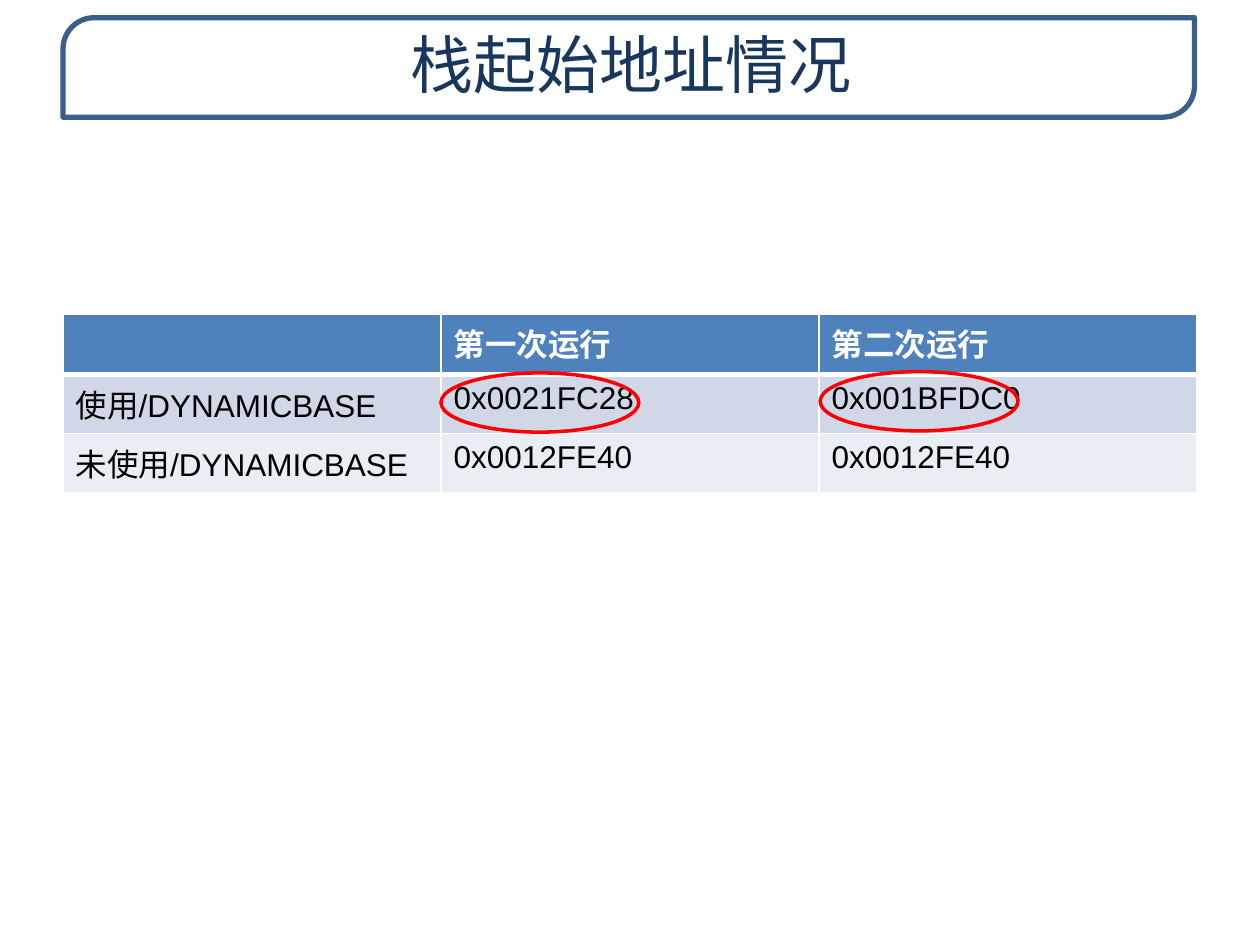
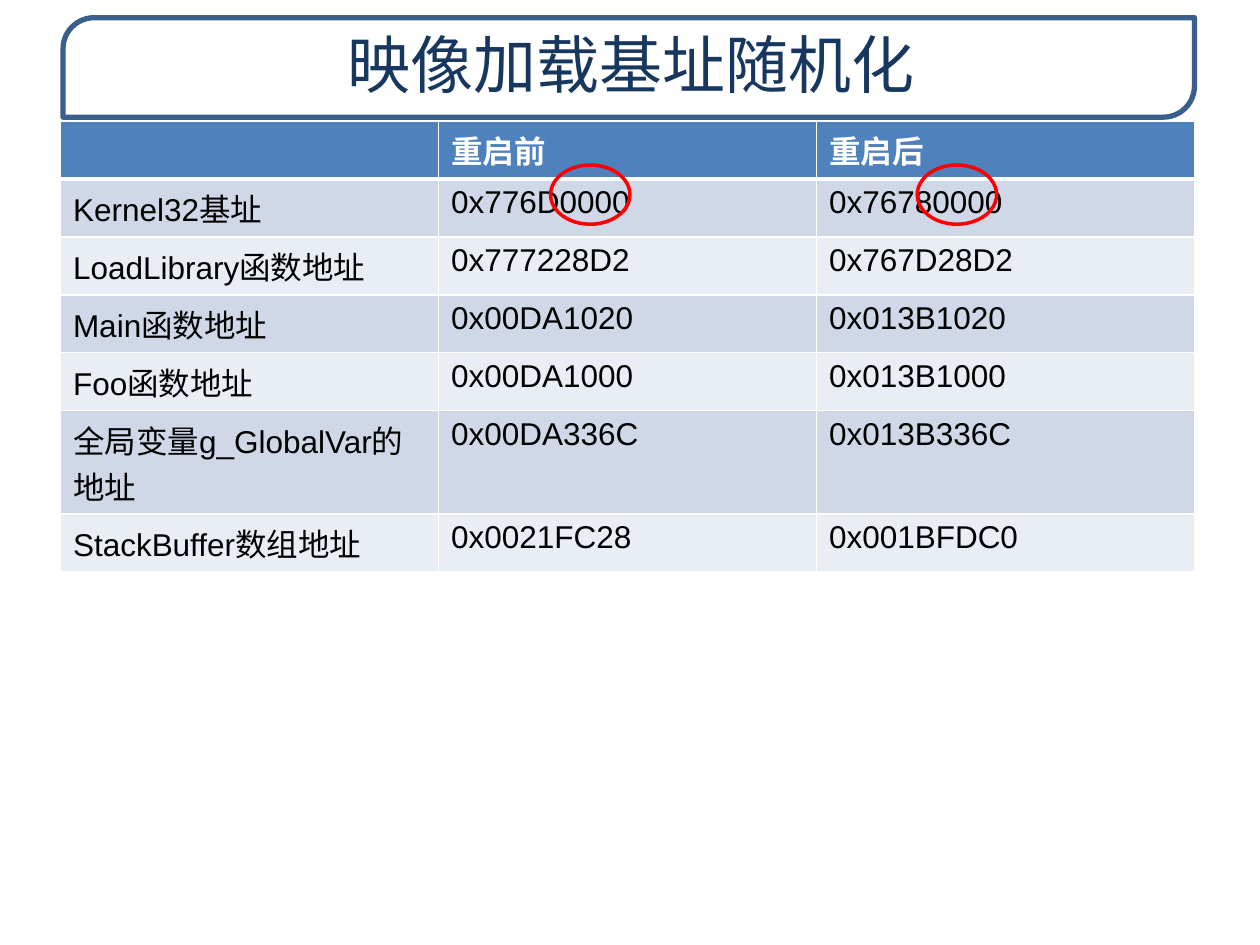
import pptx
import pptx.util
import pptx.dml.color
import pptx.enum.shapes
import pptx.enum.text
import pptx.oxml
import pptx.oxml.ns
from lxml import etree

RGB = pptx.dml.color.RGBColor
NAVY = RGB(0x17, 0x37, 0x5E)
EDGE = RGB(0x3A, 0x5F, 0x8C)
HEAD = RGB(0x4F, 0x81, 0xBD)
ODD = RGB(0xD0, 0xD8, 0xE8)
EVEN = RGB(0xE9, 0xED, 0xF4)
WHITE = RGB(0xFF, 0xFF, 0xFF)
BLACK = RGB(0, 0, 0)
RED = RGB(0xFF, 0, 0)
LATIN, HAN = "Arial", "Noto Sans CJK SC"

# Each ring is (left, top), in inches; rings on one slide share a size.
# "tall" holds the row heights that differ from the usual one.
PAGES = [
    {
        "title": "栈起始地址情况",
        "rows": [
            ("", "第一次运行", "第二次运行"),
            ("使用/DYNAMICBASE", "0x0021FC28", "0x001BFDC0"),
            ("未使用/DYNAMICBASE", "0x0012FE40", "0x0012FE40"),
        ],
        "at": (0.5, 2.49), "row": 0.47, "tall": {0: 0.48},
        "ring": (1.57, 0.47), "rings": [(3.5, 2.96), (6.51, 2.95)],
    },
    {
        "title": "映像加载基址随机化",
        "rows": [
            ("", "重启前", "重启后"),
            ("Kernel32基址", "0x776D0000", "0x76780000"),
            ("LoadLibrary函数地址", "0x777228D2", "0x767D28D2"),
            ("Main函数地址", "0x00DA1020", "0x013B1020"),
            ("Foo函数地址", "0x00DA1000", "0x013B1000"),
            ("全局变量g_GlobalVar的地址", "0x00DA336C", "0x013B336C"),
            ("StackBuffer数组地址", "0x0021FC28", "0x001BFDC0"),
        ],
        "at": (0.48, 0.96), "row": 0.46, "tall": {5: 0.82},
        "ring": (0.63, 0.47), "rings": [(4.37, 1.31), (7.28, 1.31)],
    },
]

deck = pptx.Presentation()
deck.slide_width = pptx.util.Inches(10)
deck.slide_height = pptx.util.Inches(7.5)
COL = 0.3 * deck.slide_width.inches


def inches(*sizes):
    """Turn numbers into lengths in inches."""
    return [pptx.util.Inches(size) for size in sizes]


def add(parent, tag, **attrs):
    """Append a drawing element to a parent."""
    return etree.SubElement(parent, pptx.oxml.ns.qn(tag), **attrs)


def style(para, size, color, latin, bold=False):
    """Format the runs of a paragraph."""
    for run in para.runs:
        font = run.font
        font.size, font.bold, font.name = pptx.util.Pt(size), bold, latin
        font.color.rgb = color
        add(font._element, "a:ea", typeface=HAN)


def outline(slide, kind, box, color, width):
    """Draw a preset shape with a plain line."""
    shape = slide.shapes.add_shape(kind, *inches(*box))
    shape.shadow.inherit = False
    shape.line.color.rgb = color
    shape.line.width = pptx.util.Pt(width)
    return shape


def head(slide, text):
    """Draw the title band and its title."""
    kinds = pptx.enum.shapes.MSO_SHAPE
    band = outline(slide, kinds.ROUND_2_DIAG_RECTANGLE,
                   (0.5, 0.14, 8.98, 0.79), EDGE, 3)
    band.adjustments[0], band.adjustments[1] = 0.313, 0
    band.fill.solid()
    band.fill.fore_color.rgb = WHITE
    color = band._element.spPr.xpath("a:solidFill/a:srgbClr")[0]
    add(color, "a:alpha", val="85000")
    frame = slide.shapes.add_textbox(*inches(0.52, 0.12, 8.97, 0.76)).text_frame
    frame.word_wrap = True
    frame.vertical_anchor = pptx.enum.text.MSO_ANCHOR.MIDDLE
    frame.text = text
    para = frame.paragraphs[0]
    para.alignment = pptx.enum.text.PP_ALIGN.CENTER
    style(para, 36, NAVY, HAN)


def border(cell, top, base):
    """Give a cell white borders; the sides are one point wide."""
    props = cell._tc.get_or_add_tcPr()
    for side, width in zip("LRTB", (1, 1, top, base)):
        line = add(props, "a:ln" + side, w=str(pptx.util.Pt(width)))
        add(add(line, "a:solidFill"), "a:srgbClr", val=str(WHITE))


def grid(slide, rows, spot, highs):
    """Draw a table with a header row and banded body rows."""
    wide = len(rows[0])
    table = slide.shapes.add_table(
        len(rows), wide, *inches(*spot, wide * COL, sum(highs))).table
    for col in table.columns:
        col.width = pptx.util.Inches(COL)
    for r, row in enumerate(rows):
        table.rows[r].height = pptx.util.Inches(highs[r])
        fill = HEAD if r == 0 else ODD if r % 2 else EVEN
        for c, text in enumerate(row):
            cell = table.cell(r, c)
            border(cell, 3 if r == 1 else 1, 3 if r == 0 else 1)
            cell.fill.solid()
            cell.fill.fore_color.rgb = fill
            cell.text_frame.text = text
            style(cell.text_frame.paragraphs[0], 18,
                  BLACK if r else WHITE, LATIN, r == 0)


for page in PAGES:
    slide = deck.slides.add_slide(deck.slide_layouts[6])
    head(slide, page["title"])
    highs = [page["tall"].get(r, page["row"]) for r in range(len(page["rows"]))]
    grid(slide, page["rows"], page["at"], highs)
    for spot in page["rings"]:
        ring = outline(slide, pptx.enum.shapes.MSO_SHAPE.OVAL,
                       spot + page["ring"], RED, 2)
        ring.fill.background()

deck.save("out.pptx")
